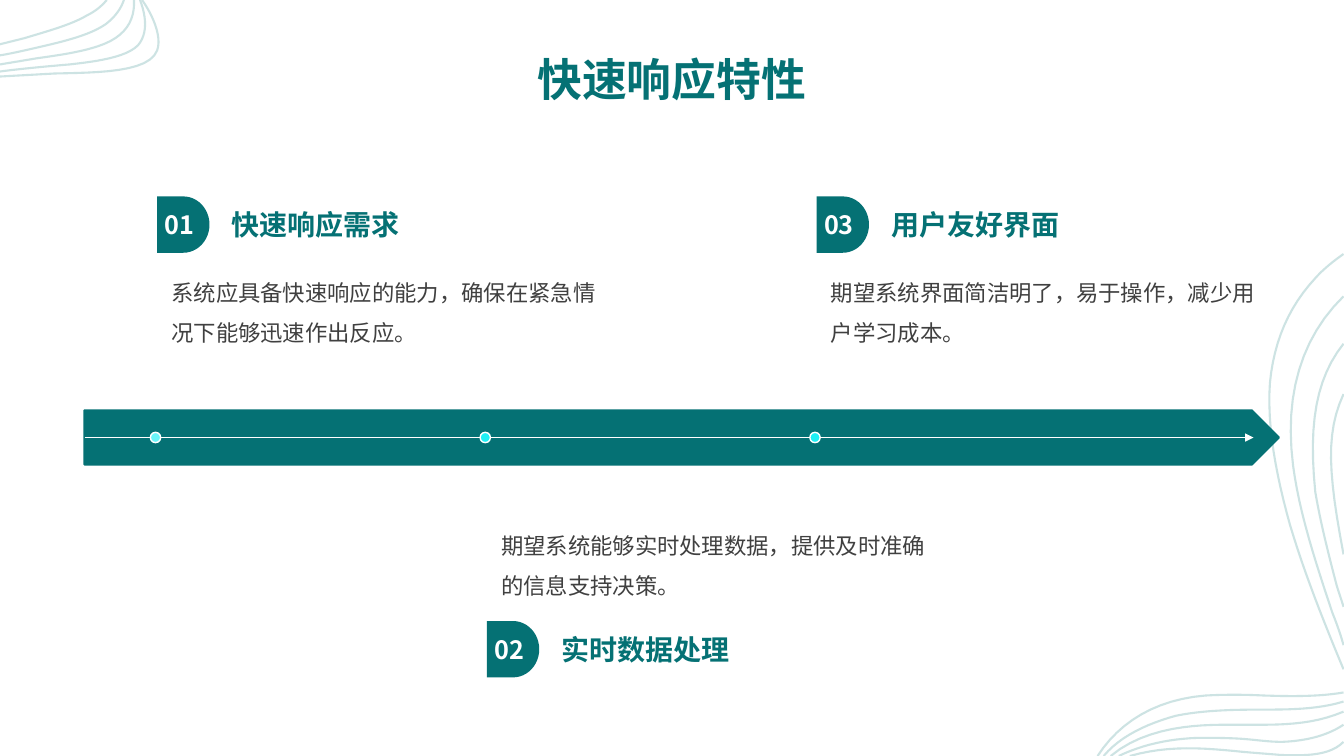
import pptx
import pptx.util
import pptx.dml.color
import pptx.enum.shapes
import pptx.enum.text
import pptx.oxml
import pptx.oxml.ns

Cm = pptx.util.Cm
Pt = pptx.util.Pt
RGBColor = pptx.dml.color.RGBColor
SHAPE = pptx.enum.shapes.MSO_SHAPE
ANCHOR = pptx.enum.text.MSO_ANCHOR
ALIGN = pptx.enum.text.PP_ALIGN

TEAL = RGBColor(0x05, 0x71, 0x74)
MIST = RGBColor(0xCD, 0xE3, 0xE3)
PALE = RGBColor(0x6A, 0xF5, 0xF9)
CYAN = RGBColor(0x1F, 0xF0, 0xF5)
GRAY = RGBColor(0x40, 0x40, 0x40)
WHITE = RGBColor(0xFF, 0xFF, 0xFF)

SANS = "Noto Sans CJK SC"
TITLE = {"name": "Noto Sans CJK JP", "size": Pt(32), "bold": True}
HEAD = {"name": SANS, "size": Pt(20), "bold": True}
BADGE = {"name": SANS, "size": Pt(18), "bold": True}
BODY = {"name": SANS, "size": Pt(16), "bold": False}

# Bezier strands: a start, then three points per curve, in units of UNIT
UNIT = Cm(0.0254)
CORNER = [
    [(0, 44), (8, 42), (16, 40), (24, 38), (47, 31), (70, 25), (87, 15),
     (95, 11), (101, 6), (106, 0)],
    [(141, 0), (151, 14), (161, 36), (156, 50), (148, 72), (97, 72), (54, 73),
     (36, 74), (18, 75), (0, 76)],
    [(139, 0), (145, 16), (147, 33), (137, 45), (125, 57), (96, 61), (69, 64),
     (46, 66), (23, 68), (0, 71)],
    [(133, 0), (134, 20), (125, 37), (97, 46), (79, 52), (57, 55), (36, 58),
     (24, 60), (12, 62), (0, 64)],
    [(123, 0), (120, 9), (114, 17), (105, 24), (89, 35), (64, 41), (38, 47),
     (25, 50), (12, 53), (0, 55)],
]
EDGE = [
    [(1333, 391), (1315, 430), (1318, 470), (1333, 550)],
    [(1333, 341), (1306, 375), (1298, 420), (1305, 488), (1310, 518),
     (1318, 549), (1326, 580), (1328, 587), (1331, 595), (1333, 602)],
    [(1333, 294), (1291, 335), (1274, 392), (1283, 462), (1289, 508),
     (1305, 557), (1322, 608), (1326, 618), (1330, 629), (1333, 640)],
    [(1333, 252), (1323, 259), (1313, 267), (1305, 276), (1279, 304),
     (1264, 338), (1260, 380), (1257, 423), (1266, 471), (1280, 521),
     (1294, 568), (1313, 616), (1333, 664)],
    [(1333, 687), (1310, 691), (1283, 691), (1254, 690), (1234, 689),
     (1215, 689), (1196, 690), (1147, 694), (1111, 716), (1089, 750)],
    [(1333, 696), (1307, 704), (1278, 704), (1249, 704), (1220, 704),
     (1192, 705), (1167, 710), (1138, 718), (1112, 730), (1095, 750)],
    [(1333, 706), (1300, 720), (1268, 719), (1235, 719), (1229, 719),
     (1223, 719), (1218, 719), (1190, 719), (1138, 720), (1102, 750)],
    [(1333, 719), (1318, 729), (1298, 735), (1272, 736), (1259, 736),
     (1246, 734), (1233, 733), (1218, 732), (1203, 732), (1189, 732),
     (1159, 733), (1133, 739), (1110, 750)],
    [(1333, 736), (1320, 749), (1299, 750), (1271, 749), (1259, 748),
     (1246, 747), (1234, 746), (1195, 742), (1160, 739), (1121, 750)],
]

STEP = 8.31
STEPS = [
    ("01", "快速响应需求", "系统应具备快速响应的能力，确保在紧急情况下能够迅速作出反应。"),
    ("02", "实时数据处理", "期望系统能够实时处理数据，提供及时准确的信息支持决策。"),
    ("03", "用户友好界面", "期望系统界面简洁明了，易于操作，减少用户学习成本。"),
]


def add_tag(parent, tag, **marks):
    node = pptx.oxml.parse_xml(f"<{tag} {pptx.oxml.ns.nsdecls('a')}/>")
    for key, value in marks.items():
        node.set(key, value)
    parent.append(node)


def write(shape, text, look, color, anchor=ANCHOR.MIDDLE, align=ALIGN.LEFT,
          wrap=True, space=1.0):
    frame = shape.text_frame
    layout = {"margin_left": 0, "margin_right": 0, "margin_top": 0, "margin_bottom": 0,
              "word_wrap": wrap, "vertical_anchor": anchor,
              "auto_size": pptx.enum.text.MSO_AUTO_SIZE.NONE}
    for key, value in layout.items():
        setattr(frame, key, value)
    line = frame.paragraphs[0]
    line.alignment = align
    line.line_spacing = space
    run = line.add_run()
    run.text = text
    for key, value in look.items():
        setattr(run.font, key, value)
    run.font.color.rgb = color
    add_tag(run.font._element, "a:ea", typeface=look["name"])


def add_form(slide, kind, box, fill, edge=None, width=1):
    shape = slide.shapes.add_shape(kind, *map(Cm, box))
    shape.shadow.inherit = False
    shape.fill.solid()
    shape.fill.fore_color.rgb = fill
    if edge is None:
        shape.line.fill.background()
    else:
        shape.line.color.rgb = edge
        shape.line.width = Pt(width)
    return shape


def add_text(slide, box, *args, **format):
    write(slide.shapes.add_textbox(*map(Cm, box)), *args, **format)


def trace(strand, parts=12):
    """Return points along a chain of Bezier curves."""
    dots = [strand[0]]
    for first in range(0, len(strand) - 1, 3):
        curve = strand[first:first + 4]
        for step in range(1, parts + 1):
            t = step / parts
            rates = ((1 - t) ** 3, 3 * t * (1 - t) ** 2, 3 * t * t * (1 - t), t ** 3)
            dots.append(tuple(sum(r * p[axis] for r, p in zip(rates, curve))
                              for axis in (0, 1)))
    return [(x * UNIT, y * UNIT) for x, y in dots]


def add_waves(slide, strands):
    lines = [trace(strand) for strand in strands]
    pen = slide.shapes.build_freeform(*lines[0][0], scale=1.0)
    for index, dots in enumerate(lines):
        if index:
            pen.move_to(*dots[0])
        pen.add_line_segments(dots[1:], close=False)
    waves = pen.convert_to_shape()
    waves.shadow.inherit = False
    waves.fill.background()
    waves.line.color.rgb = MIST
    waves.line.width = Pt(1.5)


def add_title(slide, box, text):
    title = slide.shapes.title
    for key, value in zip(("left", "top", "width", "height"), box):
        setattr(title, key, Cm(value))
    write(title, text, TITLE, TEAL, align=ALIGN.CENTER)


def add_track(slide, box):
    left, top, width, height = box
    add_form(slide, SHAPE.PENTAGON, box, TEAL, TEAL, 1.5)
    mid = top + height / 2
    line = slide.shapes.add_connector(
        pptx.enum.shapes.MSO_CONNECTOR.STRAIGHT,
        Cm(left), Cm(mid), Cm(left + width - 0.64), Cm(mid))
    line.line.color.rgb = WHITE
    line.line.width = Pt(0.5)
    add_tag(line.line._get_or_add_ln(), "a:tailEnd", type="triangle")
    add_tag(line._element.spPr, "a:effectLst")
    size = 0.26
    for index, fill in enumerate((PALE, CYAN, CYAN)):
        spot = (left + 1.66 + index * STEP, mid - size / 2, size, size)
        add_form(slide, SHAPE.OVAL, spot, fill, WHITE)


def add_entry(slide, box, entry, above):
    """Place the badge and heading on the side away from the track."""
    left, top, width, height = box
    mark, head, body = entry
    tall, deep = 1.42, 2.92
    row = top if above else top + height - tall
    text = top + height - deep if above else top
    badge = add_form(slide, SHAPE.FLOWCHART_DELAY, (left, row, 1.32, tall), TEAL)
    write(badge, mark, BADGE, WHITE, align=ALIGN.CENTER, wrap=False)
    add_text(slide, (left + 1.88, row + 0.17, width - 1.88, 1.07), head, HEAD, TEAL)
    add_text(slide, (left + 0.36, text, width - 0.36, deep), body, BODY, GRAY,
             anchor=ANCHOR.TOP if above else ANCHOR.BOTTOM, space=1.5)


def main():
    deck = pptx.Presentation()
    deck.slide_width, deck.slide_height = Cm(33.87), Cm(19.05)
    slide = deck.slides.add_slide(deck.slide_layouts[5])
    for strands in (CORNER, EDGE):
        add_waves(slide, strands)
    add_title(slide, (1.93, 0.99, 30, 2), "快速响应特性")
    add_track(slide, (2.13, 10.34, 30.1, 1.37))
    for index, entry in enumerate(STEPS):
        above = index % 2 == 0
        top, height = (4.95, 4.67) if above else (12.17, 4.9)
        add_entry(slide, (3.96 + index * STEP, top, 11.18, height), entry, above)
    deck.save("out.pptx")


if __name__ == "__main__":
    main()
